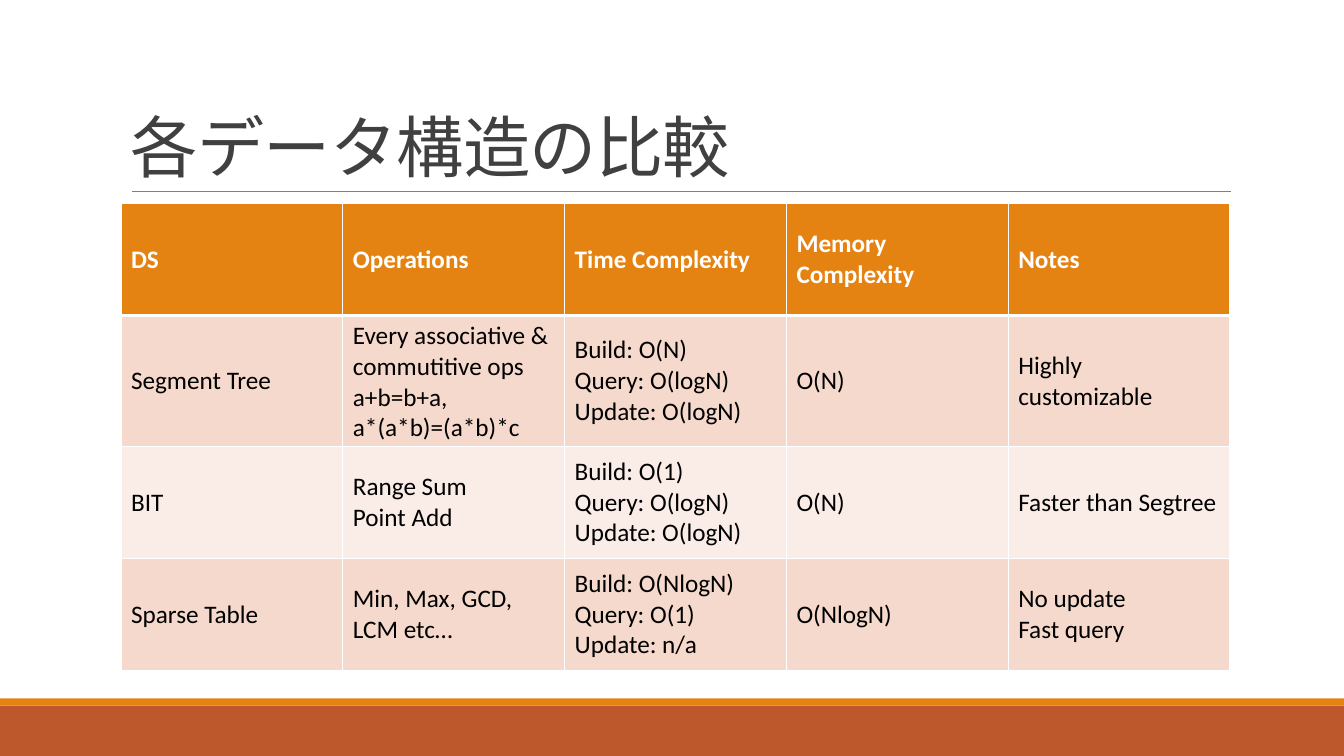
from lxml import etree
from pptx import Presentation
from pptx import util as u
from pptx.dml.color import RGBColor
from pptx.enum import shapes, text
from pptx.oxml import ns

WHITE = RGBColor(0xFF, 0xFF, 0xFF)
BLACK = RGBColor(0, 0, 0)
CHARCOAL = RGBColor(0x40, 0x40, 0x40)
GRAY = RGBColor(0x80, 0x80, 0x80)
ORANGE = RGBColor(0xE4, 0x83, 0x12)
RUST = RGBColor(0xBD, 0x58, 0x2C)
BANDS = (RGBColor(0xF5, 0xD9, 0xCC), RGBColor(0xFA, 0xED, 0xE7))

# "\n" starts a paragraph, "\v" breaks a line within one
COMPARISON = [
    ["DS", "Operations", "Time Complexity", "Memory Complexity", "Notes"],
    ["Segment Tree", "Every associative & commutitive ops\na+b=b+a,\va*(a*b)=(a*b)*c",
     "Build: O(N)\nQuery: O(logN)\nUpdate: O(logN)", "O(N)", "Highly customizable"],
    ["BIT", "Range Sum\nPoint Add",
     "Build: O(1)\nQuery: O(logN)\nUpdate: O(logN)", "O(N)", "Faster than Segtree"],
    ["Sparse Table", "Min, Max, GCD, LCM etc…",
     "Build: O(NlogN)\nQuery: O(1)\nUpdate: n/a", "O(NlogN)", "No update\nFast query"],
]


class SlideBuilder:
    font = "Calibri"

    def __init__(self, slide):
        self.slide = slide

    def style(self, frame, size, color, bold=False):
        for paragraph in frame.paragraphs:
            for run in paragraph.runs:
                run.font.name = self.font
                run.font.size = u.Pt(size)
                run.font.bold = bold
                run.font.color.rgb = color

    def bar(self, top, height, color):
        shape = self.slide.shapes.add_shape(
            shapes.MSO_SHAPE.RECTANGLE, 0, u.Inches(top), u.Inches(13.33), u.Inches(height))
        shape.shadow.inherit = False
        shape.fill.solid()
        shape.fill.fore_color.rgb = color
        shape.line.fill.background()

    def rule(self, left, right, top, color, width):
        line = self.slide.shapes.add_connector(
            shapes.MSO_CONNECTOR.STRAIGHT,
            u.Inches(left), u.Inches(top), u.Inches(right), u.Inches(top))
        line.line.color.rgb = color
        line.line.width = u.Pt(width)
        etree.SubElement(line._element.spPr, ns.qn("a:effectLst"))

    def title(self, wording, left, top, width, height):
        box = self.slide.shapes.add_textbox(
            u.Inches(left), u.Inches(top), u.Inches(width), u.Inches(height))
        frame = box.text_frame
        frame.word_wrap = True
        frame.vertical_anchor = text.MSO_ANCHOR.BOTTOM
        frame.text = wording
        paragraph = frame.paragraphs[0]
        paragraph.line_spacing = 0.85
        self.style(frame, 48, CHARCOAL)
        paragraph.runs[0].font._element.set("spc", "-50")

    def border(self, cell, side, width):
        properties = cell._tc.get_or_add_tcPr()
        line = etree.SubElement(properties, ns.qn("a:ln" + side), w=str(u.Pt(width)))
        fill = etree.SubElement(line, ns.qn("a:solidFill"))
        etree.SubElement(fill, ns.qn("a:srgbClr"), val=str(WHITE))

    def table(self, rows, left, top, column_width, row_height):
        count = len(rows[0])
        table = self.slide.shapes.add_table(
            len(rows), count, u.Inches(left), u.Inches(top),
            u.Inches(column_width * count), u.Inches(row_height * len(rows))).table
        for row_index, row in enumerate(rows):
            header = row_index == 0
            for column_index, wording in enumerate(row):
                cell = table.cell(row_index, column_index)
                cell.text_frame.text = wording
                cell.vertical_anchor = text.MSO_ANCHOR.MIDDLE
                self.style(cell.text_frame, 18, WHITE if header else BLACK, header)
                # A thick line parts the header from the body
                widths = {"L": 1, "R": 1, "T": 3 if row_index == 1 else 1, "B": 3 if header else 1}
                for side, width in widths.items():
                    self.border(cell, side, width)
                cell.fill.solid()
                cell.fill.fore_color.rgb = ORANGE if header else BANDS[(row_index - 1) % 2]


presentation = Presentation()
presentation.slide_width = u.Inches(13.33)
presentation.slide_height = u.Inches(7.5)
builder = SlideBuilder(presentation.slides.add_slide(presentation.slide_layouts[6]))

# Footer bars
builder.bar(7, 0.5, RUST)
builder.bar(6.93, 0.07, ORANGE)

# Title with its rule
builder.rule(1.31, 12.21, 1.9, GRAY, 0.5)
builder.title("各データ構造の比較", 1.2, 0.31, 11, 1.59)

# Comparison table
builder.table(COMPARISON, 1.2, 2.02, 2.2, 1.11)

presentation.save("out.pptx")
